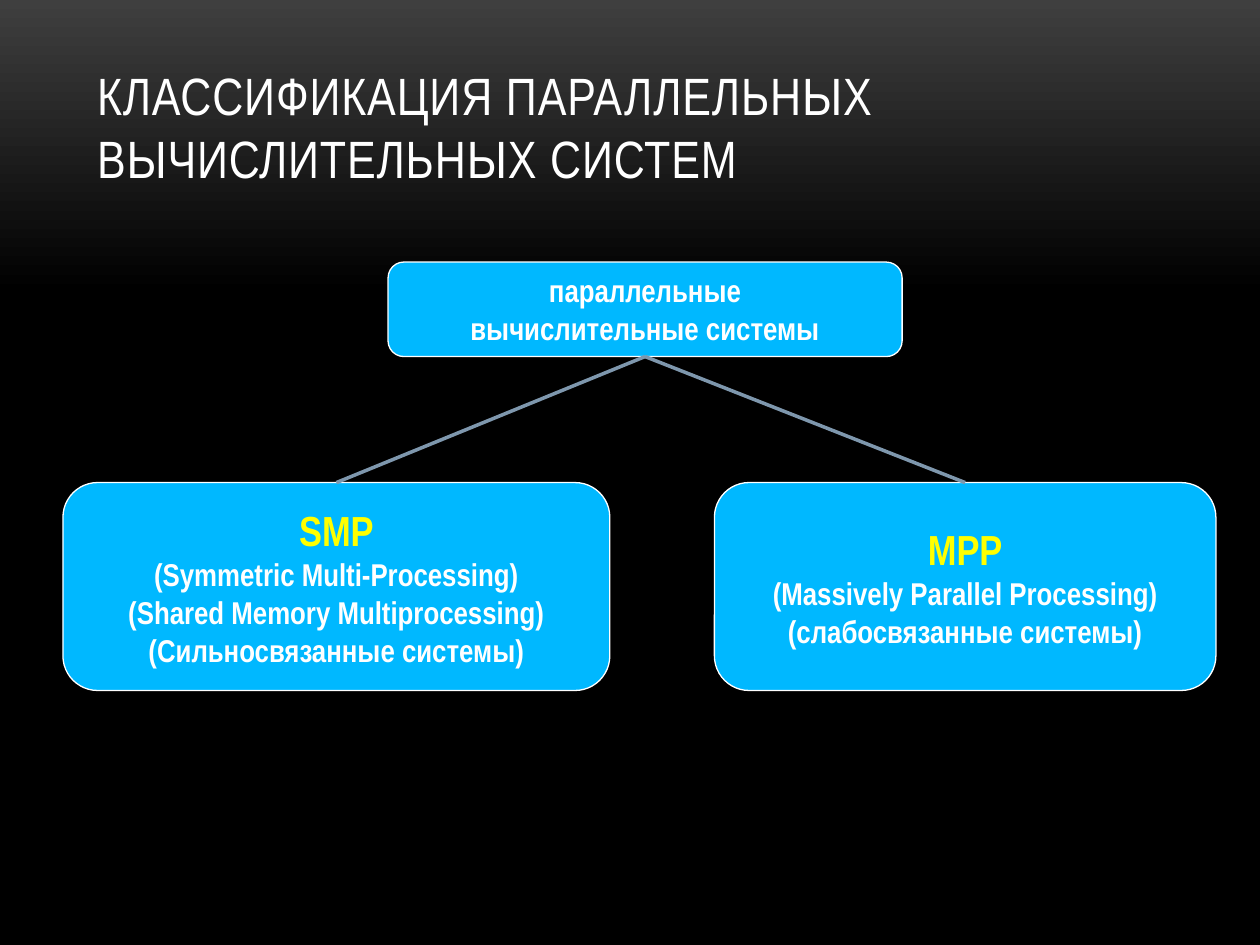
from copy import deepcopy

from pptx import Presentation
from pptx.dml.color import RGBColor
from pptx.enum.shapes import MSO_CONNECTOR, MSO_SHAPE
from pptx.enum.text import MSO_ANCHOR, MSO_AUTO_SIZE, PP_ALIGN
from pptx.oxml.ns import qn
from pptx.util import Inches, Pt

FONT = "Arial Narrow"
COLORS = {
    "top": "3F3F3F",
    "base": "000000",
    "box": "00B8FF",
    "text": "FFFFFF",
    "key": "FFFF00",
    "link": "7E97AD",
}

TITLE = "КЛАССИФИКАЦИЯ ПАРАЛЛЕЛЬНЫХ ВЫЧИСЛИТЕЛЬНЫХ СИСТЕМ"
# Each node: (left, top, width, height), heading, lines
ROOT = ((3.08, 2.08, 4.08, 0.75), None,
        ["параллельные", "вычислительные системы"])
KINDS = [
    ((0.5, 3.83, 4.34, 1.65), "SMP",
     ["(Symmetric Multi-Processing)",
      "(Shared Memory Multiprocessing)",
      "(Сильносвязанные системы)"]),
    ((5.67, 3.83, 3.98, 1.65), "MPP",
     ["(Massively Parallel Processing)",
      "(слабосвязанные системы)"]),
]


def color(name):
    return RGBColor.from_string(COLORS[name])


def add_run(par, text, size, tone="text", bold=False):
    run = par.add_run()
    run.text = text
    run.font.name = FONT
    run.font.size = Pt(size)
    run.font.bold = bold
    run.font.color.rgb = color(tone)
    return run


def paint_back(slide):
    """Fade from grey to black over the top 31% of the slide."""
    fill = slide.background.fill
    fill.gradient()
    fill.gradient_angle = 270
    for stop, (place, tone) in zip(fill.gradient_stops,
                                   [(0, "top"), (0.31, "base")]):
        stop.position = place
        stop.color.rgb = color(tone)
    last = slide.element.findall(".//" + qn("a:gs"))[-1]
    end = deepcopy(last)
    end.set("pos", "100000")
    last.addnext(end)


def add_title(slide):
    title = slide.shapes.title
    title.left, title.top = Inches(0.67), Inches(0.3)
    title.width, title.height = Inches(8.67), Inches(1.25)
    frame = title.text_frame
    frame.word_wrap = True
    frame.auto_size = MSO_AUTO_SIZE.NONE
    frame.vertical_anchor = MSO_ANCHOR.BOTTOM
    par = frame.paragraphs[0]
    par.alignment = PP_ALIGN.LEFT
    run = add_run(par, TITLE, 30)
    run.font._element.set("spc", "50")


def add_node(slide, place, head, lines):
    node = slide.shapes.add_shape(MSO_SHAPE.ROUNDED_RECTANGLE,
                                  *map(Inches, place))
    node.shadow.inherit = False
    node.fill.solid()
    node.fill.fore_color.rgb = color("box")
    node.line.color.rgb = color("text")
    node.line.width = Pt(0.75)
    frame = node.text_frame
    frame.word_wrap = False
    frame.vertical_anchor = MSO_ANCHOR.MIDDLE
    rows = [(head, 24, "key")] if head else []
    rows += [(line, 18, "text") for line in lines]
    for i, (text, size, tone) in enumerate(rows):
        par = frame.add_paragraph() if i else frame.paragraphs[0]
        par.alignment = PP_ALIGN.CENTER
        add_run(par, text, size, tone, bold=True)
    return node


def add_link(slide, parent, child):
    link = slide.shapes.add_connector(MSO_CONNECTOR.STRAIGHT, 0, 0, 0, 0)
    link.begin_connect(parent, 2)
    link.end_connect(child, 0)
    link.line.color.rgb = color("link")
    link.line.width = Pt(2)
    props = link._element.spPr
    props.append(props.makeelement(qn("a:effectLst"), {}))


def main():
    deck = Presentation()
    deck.slide_width, deck.slide_height = Inches(10), Inches(7.5)
    slide = deck.slides.add_slide(deck.slide_layouts[5])
    paint_back(slide)
    add_title(slide)
    root = add_node(slide, *ROOT)
    nodes = [add_node(slide, *kind) for kind in KINDS]
    for node in nodes:
        add_link(slide, root, node)
    deck.save("out.pptx")


if __name__ == "__main__":
    main()
